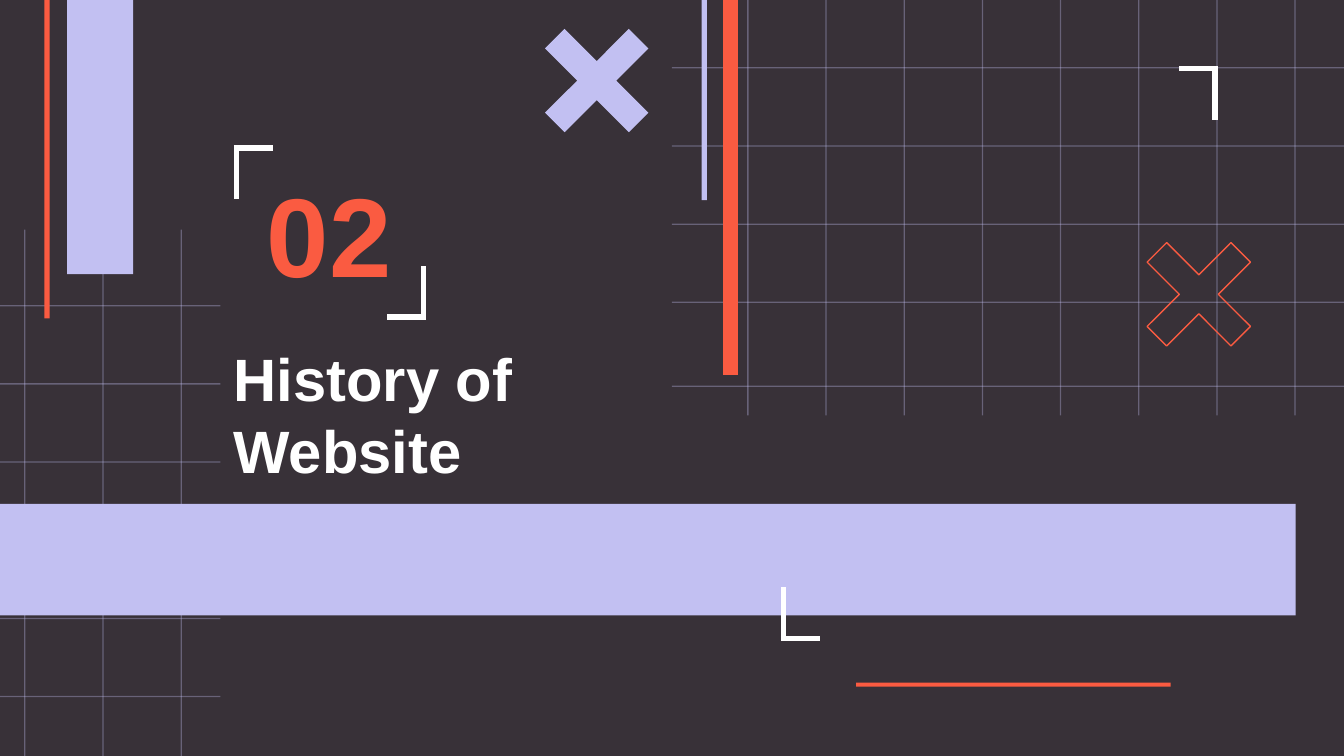
from lxml import etree
from pptx import Presentation
from pptx.dml.color import RGBColor
from pptx.enum.shapes import MSO_CONNECTOR, MSO_SHAPE
from pptx.enum.text import MSO_ANCHOR, PP_ALIGN
from pptx.oxml.ns import qn
from pptx.util import Inches, Pt

RECT = MSO_SHAPE.RECTANGLE
CROSS = MSO_SHAPE.MATH_MULTIPLY
STRAIGHT = MSO_CONNECTOR.STRAIGHT
MIDDLE = MSO_ANCHOR.MIDDLE
LEFT, CENTER = PP_ALIGN.LEFT, PP_ALIGN.CENTER

DARK = RGBColor(0x38, 0x31, 0x38)
LILAC = RGBColor(0xC2, 0xC0, 0xF2)
CORAL = RGBColor(0xFA, 0x5B, 0x41)
WHITE = RGBColor(0xFF, 0xFF, 0xFF)

WIDTH = 10
HEIGHT = WIDTH * 9 / 16
STEP = 3.49 / 6  # distance between grid lines
THIN = 0.01


class Canvas:
    """Holds the slide and its style."""

    font = "Arial"

    def __init__(self, slide):
        self.shapes = slide.shapes
        fill = slide.background.fill
        fill.solid()
        fill.fore_color.rgb = DARK

    def shape(self, kind, box, fill=None, line=None, alpha=None):
        shape = self.shapes.add_shape(kind, *map(Inches, box))
        shape.shadow.inherit = False
        if fill is None:
            shape.fill.background()
        else:
            shape.fill.solid()
            shape.fill.fore_color.rgb = fill
        if line is None:
            shape.line.fill.background()
        else:
            shape.line.color.rgb = line
            shape.line.width = Pt(0.75)
        if alpha is not None:
            color = shape._element.spPr.find(".//" + qn("a:srgbClr"))
            etree.SubElement(color, qn("a:alpha"), val=str(alpha * 1000))
        return shape

    def cross(self, x, y, **style):
        self.shape(CROSS, (x, y, 1.2, 1.2), **style).adjustments[0] = 0.171

    def grid(self, box, cols, rows):
        x, y, w, h = box
        for row in rows:
            self.shape(RECT, (x, row, w, THIN), LILAC, alpha=35)
        for col in cols:
            self.shape(RECT, (col, y, THIN, h), LILAC, alpha=35)

    def line(self, *ends):
        line = self.shapes.add_connector(STRAIGHT, *map(Inches, ends))
        line.line.color.rgb = WHITE
        line.line.width = Pt(3)
        etree.SubElement(line._element.spPr, qn("a:effectLst"))

    def corner(self, x, y, dx, dy):
        """Bracket whose arms run from (x, y) in directions dx and dy."""
        self.line(x, y + 0.38 * dy, x, y)
        self.line(x - 0.02 * dx, y, x + 0.27 * dx, y)

    def text(self, box, words, size, color, align):
        frame = self.shapes.add_textbox(*map(Inches, box)).text_frame
        inset = Inches(0.1)
        layout = {"word_wrap": True, "vertical_anchor": MIDDLE,
                  "margin_left": inset, "margin_right": inset,
                  "margin_top": inset, "margin_bottom": inset}
        for name, value in layout.items():
            setattr(frame, name, value)
        para = frame.paragraphs[0]
        para.alignment = align
        run = para.add_run()
        run.text = words
        for name, value in {"name": self.font, "size": Pt(size),
                            "bold": True}.items():
            setattr(run.font, name, value)
        run.font.color.rgb = color


def steps(start, count):
    return [start + STEP * i for i in range(count)]


def main():
    deck = Presentation()
    deck.slide_width, deck.slide_height = Inches(WIDTH), Inches(HEIGHT)
    page = Canvas(deck.slides.add_slide(deck.slide_layouts[6]))

    # Background grids
    page.grid((0, 1.71, 1.64, HEIGHT - 1.71), steps(0.18, 3), steps(2.27, 6))
    page.grid((5, 0, 5, 3.09), steps(5.56, 8), steps(0.5, 4) + [2.87])

    # Bars and filled cross
    for box, color in [
        ((5.38, 0, 0.11, 2.79), CORAL),
        ((5.22, 0, 0.04, 1.49), LILAC),
        ((0.5, 0, 0.49, 2.04), LILAC),
        ((0.33, 0, 0.04, 2.37), CORAL),
        ((6.37, 5.08, 2.34, 0.03), CORAL),
    ]:
        page.shape(RECT, box, color)
    page.cross(3.84, 0, fill=LILAC)
    page.shape(RECT, (0, 3.75, 9.64, 0.83), LILAC)

    # Section number and title
    page.text((1.8, 1.27, 1.3, 0.92), "02", 60, CORAL, CENTER)
    page.text((1.64, 2.68, 3.67, 0.79), "History of Website", 32, WHITE, LEFT)

    # Corner brackets and outlined cross
    for corner in [(1.76, 1.1, 1, 1), (3.15, 2.36, -1, -1),
                   (9.04, 0.51, -1, 1), (5.83, 4.75, 1, -1)]:
        page.corner(*corner)
    page.cross(8.32, 1.59, line=CORAL)

    deck.save("out.pptx")


if __name__ == "__main__":
    main()
